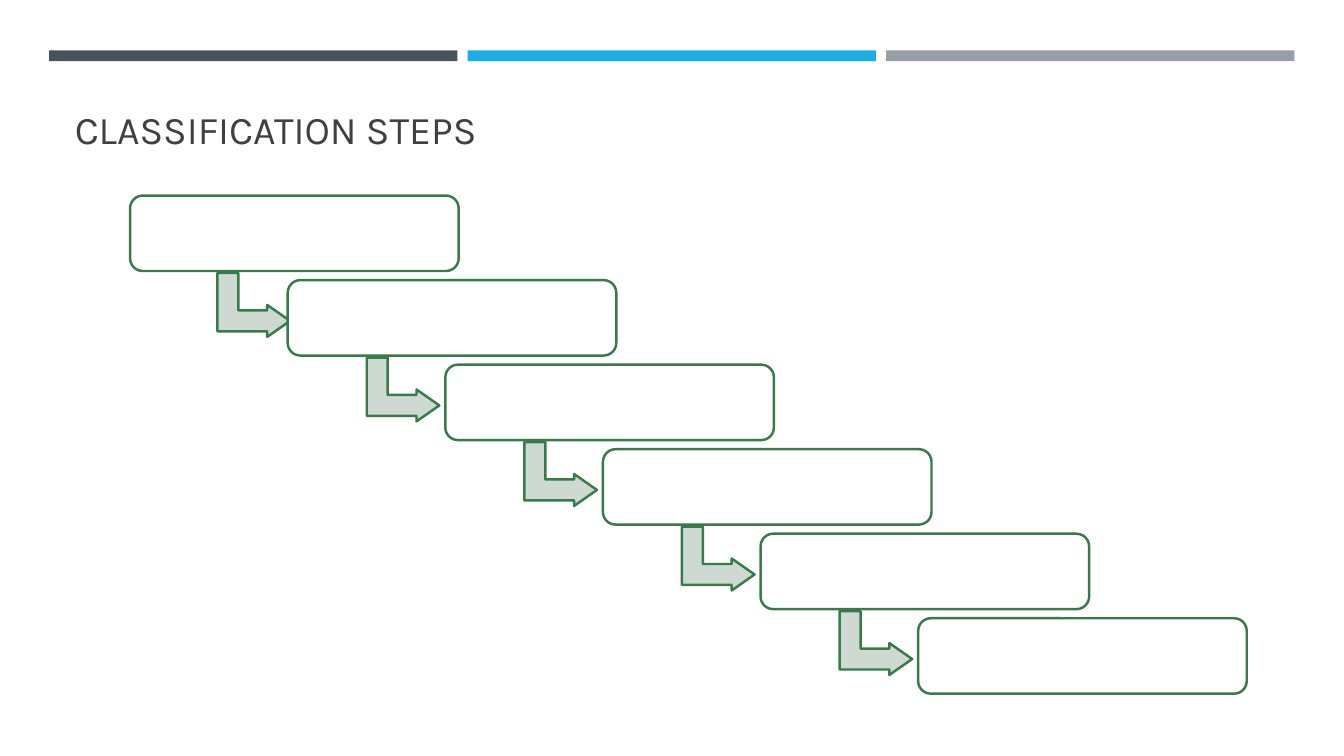
from pptx import Presentation
from pptx.dml.color import RGBColor
from pptx.enum.shapes import MSO_SHAPE
from pptx.enum.text import MSO_ANCHOR, PP_ALIGN
from pptx.util import Cm, Pt

BAR_COLOURS = ["465359", "1CADE4", "969FA7"]
GREEN, PALE_GREEN, WHITE, GREY = "387B4B", "CEDAD1", "FFFFFF", "404040"
STEP_COUNT = 6


def colour(hex_string):
    return RGBColor.from_string(hex_string)


def add_preset(shapes, preset, left, top, width, height, fill, outline=None):
    part = shapes.add_shape(preset, Cm(left), Cm(top), Cm(width), Cm(height))
    part.shadow.inherit = False
    part.fill.solid()
    part.fill.fore_color.rgb = colour(fill)
    if outline:
        part.line.color.rgb = colour(outline)
        part.line.width = Pt(1.75)
    else:
        part.line.fill.background()
    return part


def add_header_bars(slide, left, top, width, height, gap=0.26):
    bar_width = (width - gap * (len(BAR_COLOURS) - 1)) / len(BAR_COLOURS)
    for i, fill in enumerate(BAR_COLOURS):
        add_preset(slide.shapes, MSO_SHAPE.RECTANGLE,
                   left + i * (bar_width + gap), top, bar_width, height, fill)


def add_heading(slide, left, top, width, height):
    heading = slide.shapes.title
    heading.left, heading.top = Cm(left), Cm(top)
    heading.width, heading.height = Cm(width), Cm(height)
    frame = heading.text_frame
    frame.text = "CLASSIFICATION STEPS"
    frame.word_wrap = True
    frame.vertical_anchor = MSO_ANCHOR.BOTTOM
    paragraph = frame.paragraphs[0]
    paragraph.alignment = PP_ALIGN.LEFT
    font = paragraph.runs[0].font
    font.name, font.size = "Karla", Pt(28)
    font.color.rgb = colour(GREY)


def add_staircase(slide, left, top, width, height):
    step_width, step_height = 8.28, 1.9
    across = (width - step_width) / (STEP_COUNT - 1)
    down = (height - step_height) / (STEP_COUNT - 1)
    staircase = slide.shapes.add_group_shape().shapes

    for i in range(STEP_COUNT):
        step_left, step_top = left + i * across, top + i * down

        # Arrow leading to the next step; the first sits slightly further right
        if i < STEP_COUNT - 1:
            indent = 2.1 if i else 2.31
            arrow = add_preset(staircase, MSO_SHAPE.BENT_UP_ARROW,
                               step_left + indent, step_top + 1.84,
                               1.61, 1.83, PALE_GREEN, GREEN)
            arrow.rotation = 90
            for k, value in enumerate([0.328, 0.25, 0.358]):
                arrow.adjustments[k] = value

        # Step box
        add_preset(staircase, MSO_SHAPE.ROUNDED_RECTANGLE, step_left, step_top,
                   step_width, step_height, WHITE, GREEN)


def main():
    presentation = Presentation()
    presentation.slide_width, presentation.slide_height = Cm(33.87), Cm(19.05)
    slide = presentation.slides.add_slide(presentation.slide_layouts[5])
    slide.background.fill.solid()
    slide.background.fill.fore_color.rgb = colour(WHITE)

    add_header_bars(slide, 1.24, 1.27, 31.38, 0.27)
    add_heading(slide, 1.63, 1.96, 30.63, 2)
    add_staircase(slide, 3.28, 4.93, 28.14, 12.55)

    presentation.save("out.pptx")


if __name__ == "__main__":
    main()
